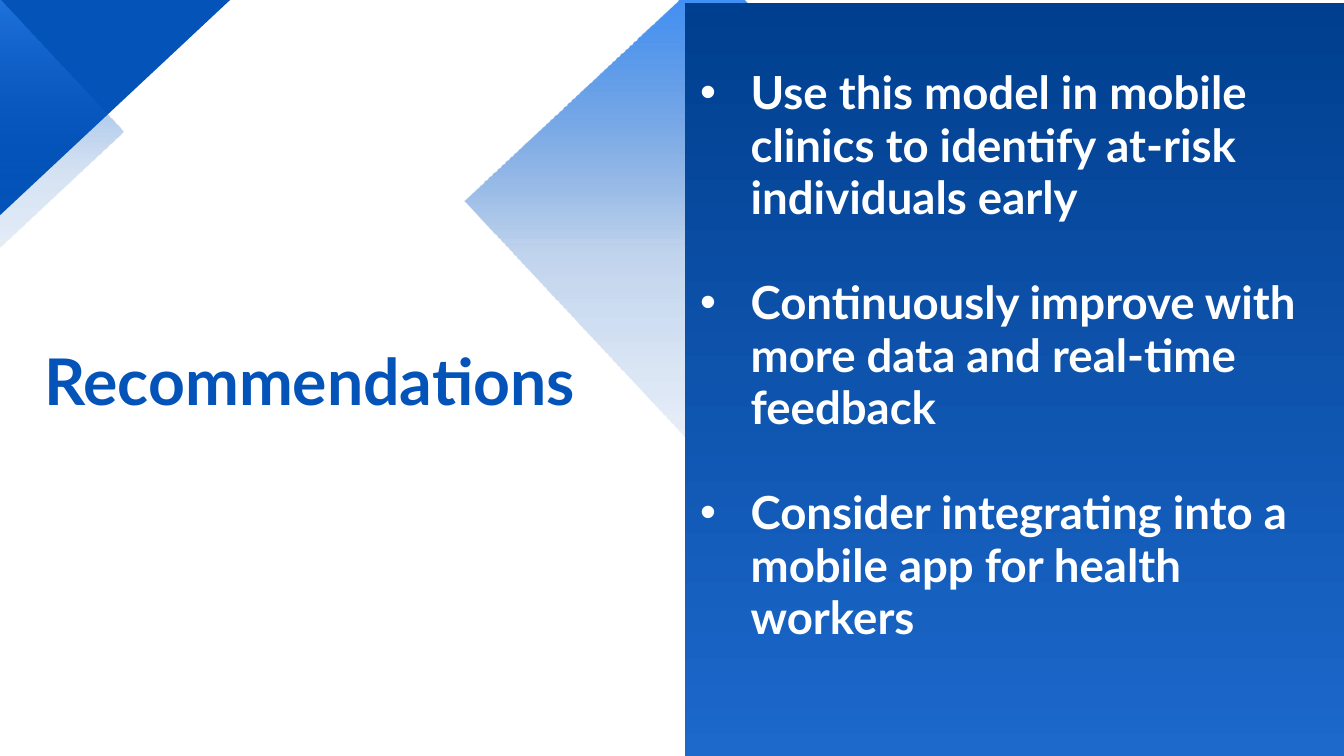
from typing import NamedTuple

from lxml.etree import SubElement
from pptx import Presentation
from pptx.dml.color import RGBColor
from pptx.enum.shapes import MSO_SHAPE
from pptx.enum.text import MSO_ANCHOR, MSO_AUTO_SIZE, PP_ALIGN
from pptx.oxml.ns import qn
from pptx.util import Inches, Pt

FONT = "Lato"
BLUE = "0453B9"
WHITE = "FFFFFF"


class Stop(NamedTuple):
    position: int
    color: str
    opacity: int = 100


class Diamond(NamedTuple):
    corners: list[tuple[float, float]]
    stops: list[Stop]


DIAMONDS = [
    Diamond([(-8.14, -15.04), (4.76, -1.25), (-2.98, 5.99), (-15.88, -7.8)],
            [Stop(0, BLUE)]),
    Diamond([(-0.36, -0.39), (1.84, 1.96), (-1.72, 5.29), (-3.92, 2.94)],
            [Stop(0, "398DFA", 70), Stop(50, "0151B8", 17), Stop(100, "0151B8", 0)]),
    Diamond([(10.63, -0.48), (15.32, 4.53), (11.61, 8.01), (6.92, 2.99)],
            [Stop(0, "398DFA"), Stop(50, "0151B8", 24), Stop(100, "0151B8", 0)]),
]
PANEL_STOPS = [Stop(0, "003F8F"), Stop(100, "1C68CB")]
RECOMMENDATIONS = [
    "Use this model in mobile clinics to identify at-risk individuals early",
    "Continuously improve with more data and real-time feedback",
    "Consider integrating into a mobile app for health workers",
]


def rgb(color: str) -> RGBColor:
    return RGBColor.from_string(color)


def paint(shape, stops: list[Stop]) -> None:
    """Fill with one solid colour, or with a gradient from top to bottom."""
    shape.shadow.inherit = False
    shape.line.fill.background()
    if len(stops) == 1:
        shape.fill.solid()
        shape.fill.fore_color.rgb = rgb(stops[0].color)
        return
    shape.fill.gradient()
    shape.fill.gradient_angle = 270
    stop_list = shape.fill._fill._gradFill.find(qn("a:gsLst"))
    for old_stop in list(stop_list):
        stop_list.remove(old_stop)
    for stop in stops:
        element = SubElement(stop_list, qn("a:gs"), pos=str(stop.position * 1000))
        color = SubElement(element, qn("a:srgbClr"), val=stop.color)
        if stop.opacity < 100:
            SubElement(color, qn("a:alpha"), val=str(stop.opacity * 1000))


def add_diamond(slide, diamond: Diamond) -> None:
    points = [(Inches(x), Inches(y)) for x, y in diamond.corners]
    builder = slide.shapes.build_freeform(*points[0])
    builder.add_line_segments(points[1:], close=True)
    paint(builder.convert_to_shape(), diamond.stops)


def prepare_frame(shape):
    frame = shape.text_frame
    frame.word_wrap = True
    frame.auto_size = MSO_AUTO_SIZE.NONE
    frame.vertical_anchor = MSO_ANCHOR.TOP
    frame.margin_left = frame.margin_top = frame.margin_right = frame.margin_bottom = 0
    return frame


def write(paragraph, text: str, size: float, color: str, line_height: float) -> None:
    paragraph.alignment = PP_ALIGN.LEFT
    paragraph.line_spacing = Pt(line_height)
    run = paragraph.add_run()
    run.text = text
    run.font.name = FONT
    run.font.size = Pt(size)
    run.font.bold = True
    run.font.color.rgb = rgb(color)


def add_bullet(paragraph) -> None:
    properties = paragraph._p.get_or_add_pPr()
    properties.set("marL", str(Inches(0.75)))
    properties.set("indent", str(-Inches(0.75)))
    SubElement(properties, qn("a:buFont"), typeface="Arial")
    SubElement(properties, qn("a:buChar"), char="•")


def main() -> None:
    presentation = Presentation()
    presentation.slide_width = Inches(20)
    presentation.slide_height = Inches(11.25)
    slide = presentation.slides.add_slide(presentation.slide_layouts[5])

    for diamond in DIAMONDS:
        add_diamond(slide, diamond)
    panel = slide.shapes.add_shape(MSO_SHAPE.RECTANGLE, Inches(10.19), Inches(0.05),
                                   Inches(9.85), Inches(11.25))
    paint(panel, PANEL_STOPS)

    title = slide.shapes.title
    title.left, title.top = Inches(0.66), Inches(5.12)
    title.width, title.height = Inches(8.99), Inches(1.11)
    write(prepare_frame(title).paragraphs[0], "Recommendations", 68.9, BLUE, 79.2)

    box = slide.shapes.add_textbox(Inches(10.42), Inches(0.99), Inches(9.58), Inches(8.64))
    frame = prepare_frame(box)
    for index, text in enumerate(RECOMMENDATIONS):
        paragraph = frame.add_paragraph() if index else frame.paragraphs[0]
        add_bullet(paragraph)
        if index:
            paragraph.space_before = Pt(56.2)
        write(paragraph, text, 48.8, WHITE, 56.2)

    presentation.save("out.pptx")


if __name__ == "__main__":
    main()
